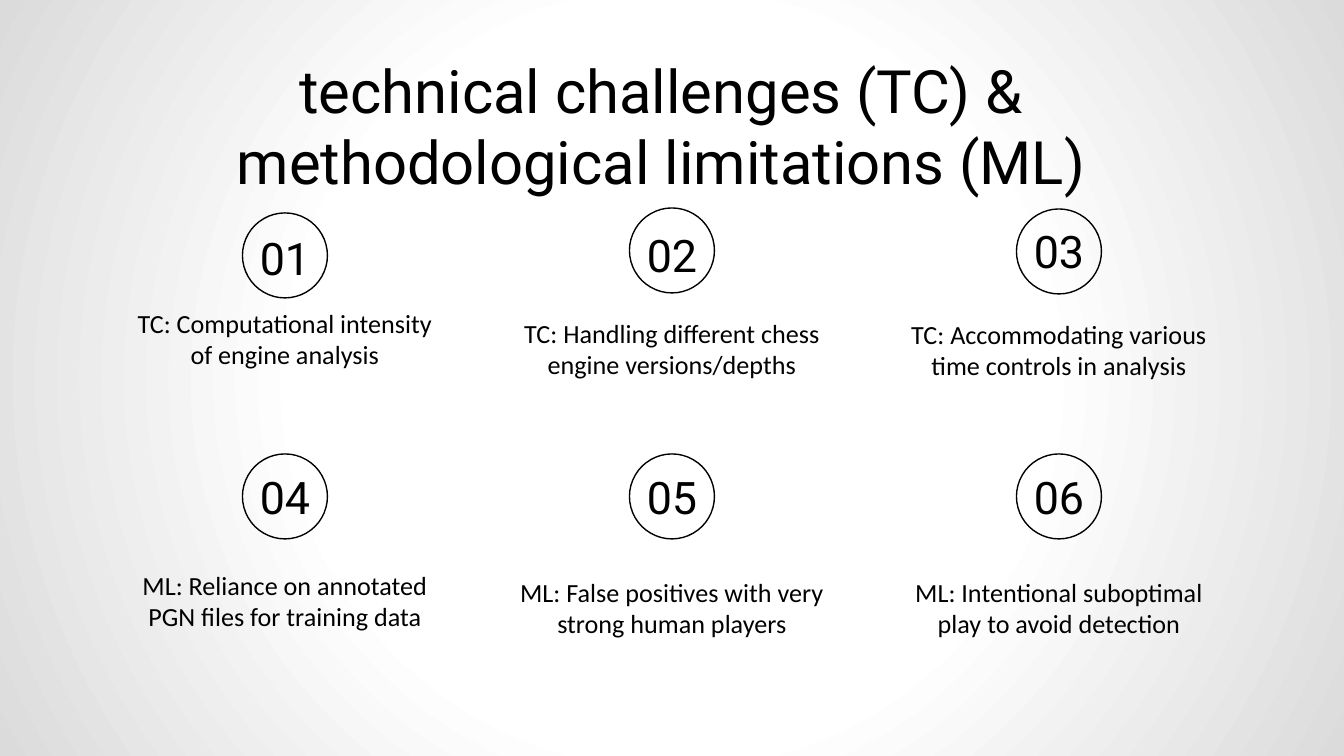
import pptx
import pptx.util
import pptx.dml.color
import pptx.enum.shapes
import pptx.enum.text
import pptx.oxml
import pptx.oxml.ns

TITLE = "technical challenges (TC) & methodological limitations (ML)"
# number, caption, circle top, number top, caption top
ITEMS = [
    ("01", "TC: Computational intensity of engine analysis", 213, 233, 294),
    ("02", "TC: Handling different chess engine versions/depths", 208, 230, 304),
    ("03", "TC: Accommodating various time controls in analysis", 209, 226, 305),
    ("04", "ML: Reliance on annotated PGN files for training data", 454, 472, 556),
    ("05", "ML: False positives with very strong human players", 454, 472, 563),
    ("06", "ML: Intentional suboptimal play to avoid detection", 454, 472, 563),
]
STOPS = [(0, "FFFFFF"), (48, "FFFFFF"), (100, "DBDBDB")]
INK = "000000"
COLUMNS, CENTER, PITCH = 3, 672, 387
CIRCLE, CAPTION_W, CAPTION_H, NUMBER_H = 85, 338, 85, 50
TOP = pptx.enum.text.MSO_ANCHOR.TOP
MIDDLE = pptx.enum.text.MSO_ANCHOR.MIDDLE


def px(*lengths):
    return [pptx.util.Emu(round(n * 914400 / 134.4)) for n in lengths]


def color(value):
    return pptx.dml.color.RGBColor.from_string(value)


def set_background(s):
    s.background.fill.gradient()
    grad = s.background._cSld.bg.bgPr.find(pptx.oxml.ns.qn("a:gradFill"))
    for child in list(grad):
        grad.remove(child)
    stops = "".join(
        f'<a:gs pos="{pos * 1000}"><a:srgbClr val="{value}"/></a:gs>'
        for pos, value in STOPS
    )
    ns = pptx.oxml.ns.nsdecls("a")
    grad.append(pptx.oxml.parse_xml(f"<a:gsLst {ns}>{stops}</a:gsLst>"))
    grad.append(pptx.oxml.parse_xml(
        f'<a:path {ns} path="circle"><a:fillToRect l="50000" t="50000" '
        'r="50000" b="50000"/></a:path>'
    ))


def add_text(s, box, text, font, size, anchor=TOP):
    tf = s.shapes.add_textbox(*px(*box)).text_frame
    tf.word_wrap = True
    tf.vertical_anchor = anchor
    tf.margin_left = tf.margin_right = pptx.util.Inches(0.1)
    tf.margin_top = tf.margin_bottom = pptx.util.Inches(0.1)
    p = tf.paragraphs[0]
    p.alignment = pptx.enum.text.PP_ALIGN.CENTER
    r = p.add_run()
    r.text = text
    r.font.name = font
    r.font.size = pptx.util.Pt(size)
    r.font.color.rgb = color(INK)


def add_circle(s, left, top):
    sp = s.shapes.add_shape(
        pptx.enum.shapes.MSO_SHAPE.OVAL, *px(left, top, CIRCLE, CIRCLE)
    )
    sp.shadow.inherit = False
    sp.fill.background()
    sp.line.color.rgb = color(INK)
    sp.line.width = pptx.util.Pt(0.75)


def main():
    """Build the slide of six numbered challenges and limitations."""
    prs = pptx.Presentation()
    prs.slide_width, prs.slide_height = px(1344, 756)
    s = prs.slides.add_slide(prs.slide_layouts[6])
    set_background(s)
    add_text(s, (95, 40, 1133, 85), TITLE, "Roboto", 32)
    for i, (number, caption, circle_top, number_top, caption_top) in enumerate(ITEMS):
        center = CENTER + (i % COLUMNS - 1) * PITCH
        left = center - CIRCLE / 2
        add_circle(s, left, circle_top)
        add_text(s, (left, number_top, CIRCLE, NUMBER_H), number, "Roboto", 24, MIDDLE)
        caption_box = (center - CAPTION_W / 2, caption_top, CAPTION_W, CAPTION_H)
        add_text(s, caption_box, caption, "Calibri", 14)
    prs.save("out.pptx")


if __name__ == "__main__":
    main()
